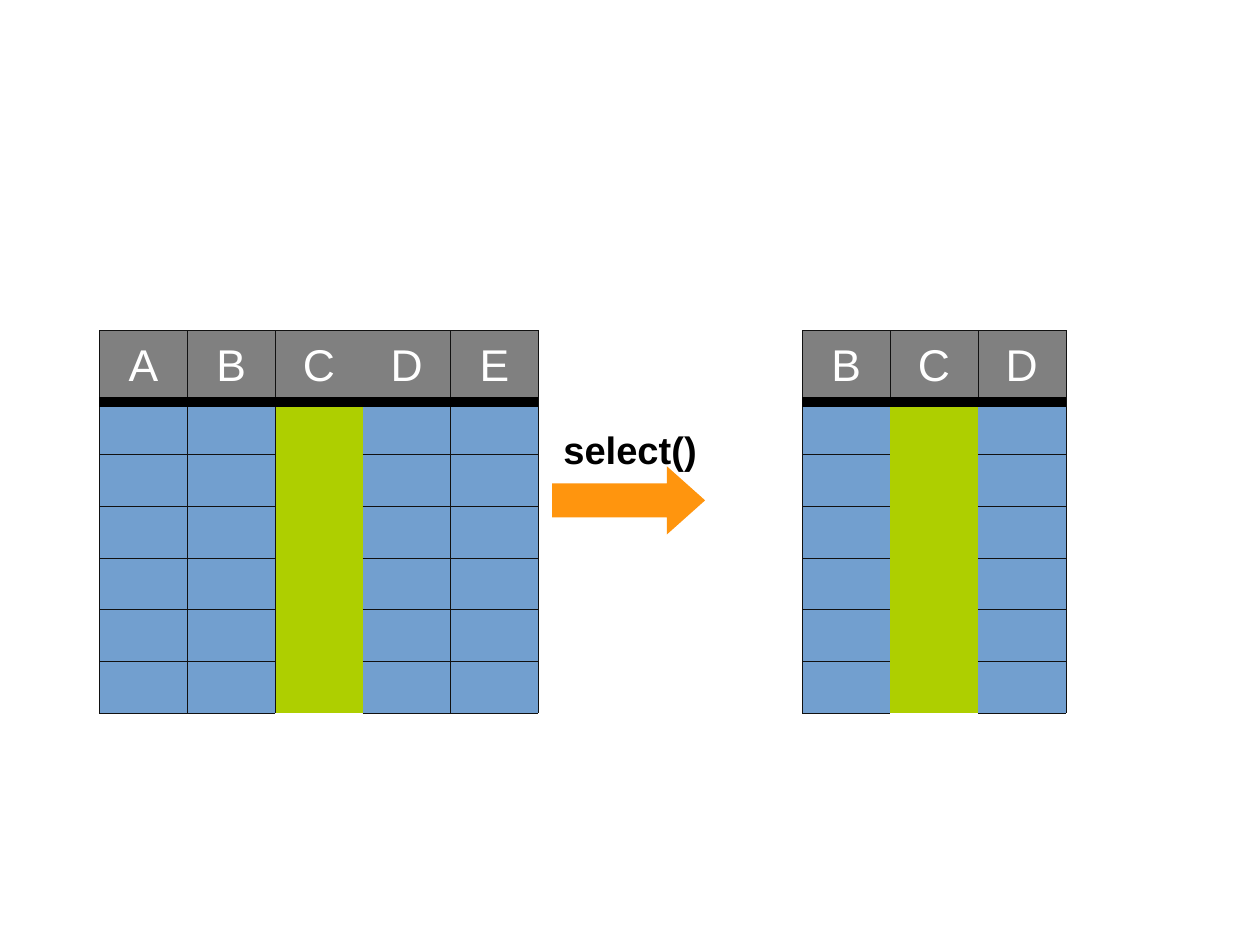
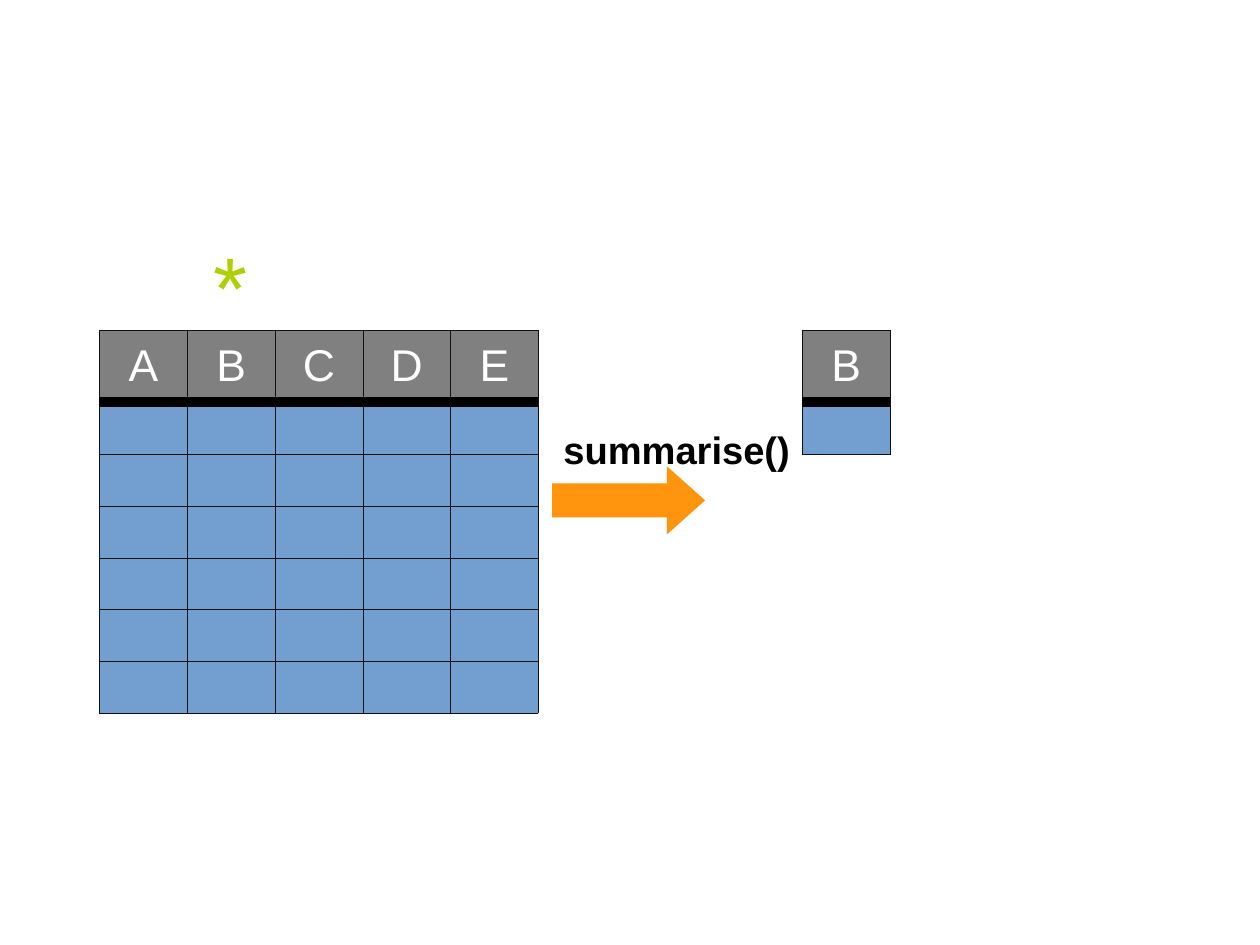
from lxml.etree import SubElement
from pptx import Presentation
from pptx.dml.color import RGBColor
from pptx.enum.shapes import MSO_CONNECTOR, MSO_SHAPE
from pptx.enum.text import MSO_ANCHOR, MSO_AUTO_SIZE, PP_ALIGN
from pptx.oxml.ns import qn
from pptx.util import Cm, Pt

FONT = "Arial"
BLACK = RGBColor(0x00, 0x00, 0x00)
WHITE = RGBColor(0xFF, 0xFF, 0xFF)
GRID = RGBColor(0x11, 0x11, 0x11)
GREY = RGBColor(0x80, 0x80, 0x80)
BLUE = RGBColor(0x72, 0x9F, 0xCF)
GREEN = RGBColor(0xAE, 0xCF, 0x00)
ORANGE = RGBColor(0xFF, 0x95, 0x0E)

GRID_WIDTH = Pt(0.11)
COL_WIDTH = Cm(1.95)
HEADER_HEIGHT = Cm(1.61)
ROW_HEIGHT = Cm(1.15)
TABLE_TOP = Cm(7.34)
RULE_TOP = Cm(8.93)
INPUT_LEFT = Cm(2.21)
RESULT_LEFT = Cm(17.83)
ARROW_LEFT = Cm(12.27)


def add_run(p, text, size, color, bold=False):
    r = p.add_run()
    r.text = text
    r.font.name = FONT
    r.font.size = Pt(size)
    r.font.bold = bold
    r.font.color.rgb = color


def set_borders(cell, sides):
    tc_pr = cell._tc.get_or_add_tcPr()
    for side in "LRTB":
        ln = SubElement(tc_pr, qn(f"a:ln{side}"), w=str(GRID_WIDTH))
        if side in sides:
            fill = SubElement(ln, qn("a:solidFill"))
            SubElement(fill, qn("a:srgbClr"), val=str(GRID))
        else:
            SubElement(ln, qn("a:noFill"))


def add_rule(slide, left, width):
    line = slide.shapes.add_connector(
        MSO_CONNECTOR.STRAIGHT, left, RULE_TOP, left + width, RULE_TOP)
    line.line.color.rgb = BLACK
    line.line.width = Pt(6)
    SubElement(line._element.spPr, qn("a:effectLst"))


def add_data_table(slide, left, labels, body_rows, marked="",
                   header_gaps=(), body_gaps=()):
    width = COL_WIDTH * len(labels)
    table = slide.shapes.add_table(
        body_rows + 1, len(labels), left, TABLE_TOP, width,
        HEADER_HEIGHT + ROW_HEIGHT * body_rows).table
    table.first_row = False
    table.horz_banding = False
    for column in table.columns:
        column.width = COL_WIDTH
    for i, row in enumerate(table.rows):
        row.height = ROW_HEIGHT if i else HEADER_HEIGHT
        gaps = body_gaps if i else header_gaps
        for j, (label, cell) in enumerate(zip(labels, row.cells)):
            is_marked = i > 0 and label == marked
            sides = "" if is_marked else "TB"
            sides += "" if j in gaps else "L"
            sides += "" if j + 1 in gaps else "R"
            set_borders(cell, sides)
            cell.fill.solid()
            cell.fill.fore_color.rgb = GREEN if is_marked else BLUE if i else GREY
            if i == 0:
                cell.vertical_anchor = MSO_ANCHOR.MIDDLE
                p = cell.text_frame.paragraphs[0]
                p.alignment = PP_ALIGN.CENTER
                add_run(p, label, 28, WHITE)
    add_rule(slide, left, width)


def add_text(slide, left, top, width, height, text, size, color,
             bold=False, wrap=True):
    tf = slide.shapes.add_textbox(left, top, width, height).text_frame
    tf.word_wrap = wrap
    tf.auto_size = MSO_AUTO_SIZE.SHAPE_TO_FIT_TEXT
    add_run(tf.paragraphs[0], text, size, color, bold)


def add_step(slide, function, label_width):
    sp = slide.shapes.add_shape(
        MSO_SHAPE.RIGHT_ARROW, ARROW_LEFT, Cm(10.36), Cm(3.4), Cm(1.52))
    sp.adjustments[0] = 0.5
    sp.adjustments[1] = 0.56
    sp.shadow.inherit = False
    sp.fill.solid()
    sp.fill.fore_color.rgb = ORANGE
    sp.line.fill.background()
    add_text(slide, ARROW_LEFT, Cm(9.35), label_width, Cm(1.19),
             function, 24, BLACK, bold=True)


def add_select_slide(prs):
    slide = prs.slides.add_slide(prs.slide_layouts[6])
    add_data_table(slide, INPUT_LEFT, "ABCDE", 6, marked="C",
                   header_gaps=(3,), body_gaps=(3,))
    add_data_table(slide, RESULT_LEFT, "BCD", 6, marked="C", body_gaps=(1, 2))
    add_step(slide, "select()", Cm(5.03))


def add_summarise_slide(prs):
    slide = prs.slides.add_slide(prs.slide_layouts[6])
    add_data_table(slide, INPUT_LEFT, "ABCDE", 6)
    add_data_table(slide, RESULT_LEFT, "B", 1)
    add_step(slide, "summarise()", Cm(9.04))
    add_text(slide, Cm(4.5), Cm(5.03), Cm(1.24), Cm(2.41),
             "*", 55, GREEN, wrap=False)


def main():
    prs = Presentation()
    prs.slide_width = Cm(28)
    prs.slide_height = Cm(21)
    add_select_slide(prs)
    add_summarise_slide(prs)
    prs.save("out.pptx")


if __name__ == "__main__":
    main()
